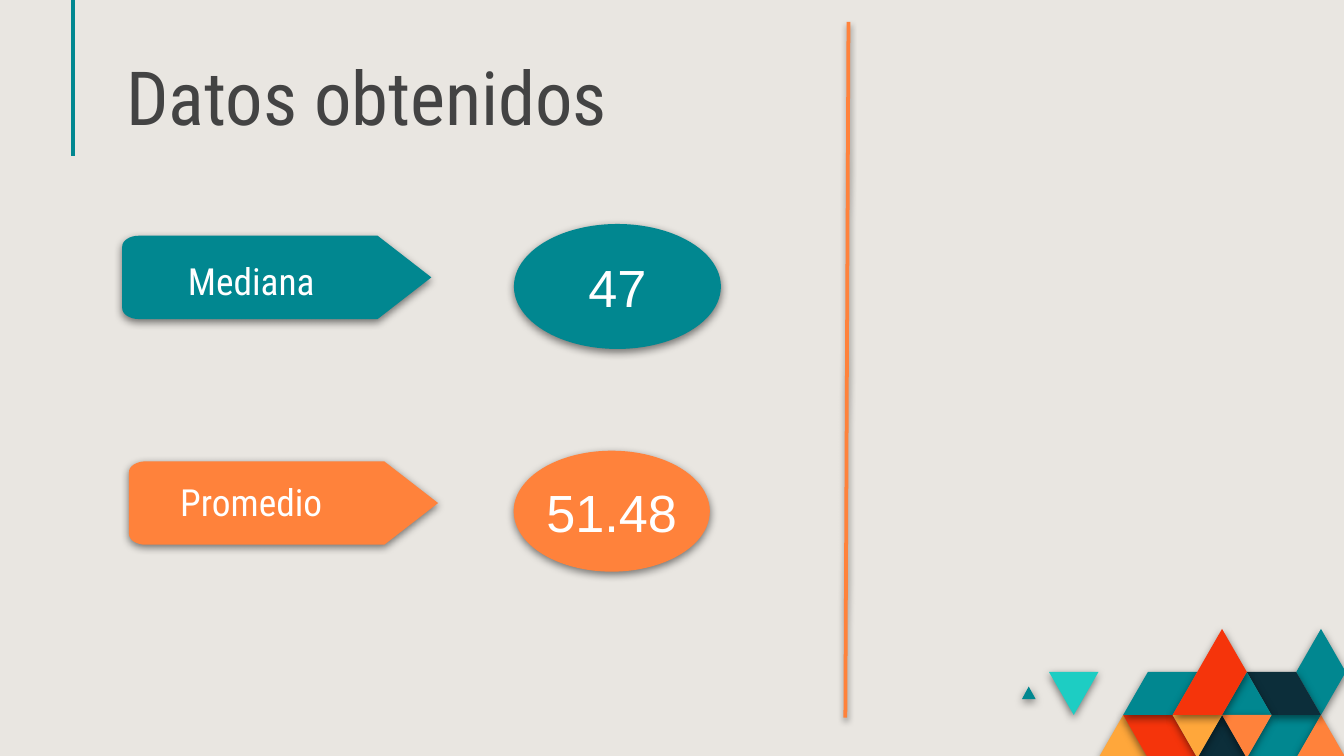
from dataclasses import dataclass
from math import cos, pi, sin

from lxml import etree
from pptx import Presentation
from pptx.dml.color import RGBColor
from pptx.enum.shapes import MSO_CONNECTOR, MSO_SHAPE
from pptx.enum.text import MSO_ANCHOR, PP_ALIGN
from pptx.oxml.ns import qn
from pptx.util import Inches, Pt

STRAIGHT = MSO_CONNECTOR.STRAIGHT
OVAL = MSO_SHAPE.OVAL
TOP, MIDDLE, BOTTOM = MSO_ANCHOR.TOP, MSO_ANCHOR.MIDDLE, MSO_ANCHOR.BOTTOM
LEFT, CENTER = PP_ALIGN.LEFT, PP_ALIGN.CENTER

COLUMNS, ROWS = 100, 56.25
CELL = 0.1
MOSAIC_LEFT, MOSAIC_TOP = 78.05, 50
MOSAIC_STEP, MOSAIC_ROW = 1.84, 3.2

PAPER, WHITE, INK = "E9E6E1", "FFFFFF", "434343"
TEAL, AQUA, NAVY = "018790", "1DCDC3", "0C2E3A"
ORANGE, AMBER, RED = "FF823B", "FFA73B", "F5340B"
HEADING_FONT, NUMBER_FONT = "Roboto Condensed", "Arial"

Point = tuple[float, float]


@dataclass(frozen=True)
class Area:
    left: float
    top: float
    width: float
    height: float


@dataclass(frozen=True)
class Tile:
    color: str
    corners: tuple[Point, ...]


@dataclass(frozen=True)
class Shadow:
    blur: float
    distance: float
    opacity: int


@dataclass(frozen=True)
class Statistic:
    name: str
    value: str
    color: str
    tag: Area
    label: Area
    bubble: Area


SOFT_SHADOW = Shadow(4.5, 1.5, 50)
LINE_SHADOW = Shadow(3.1, 1.6, 38)

TILES = (
    Tile(AMBER, ((2, 2), (3, 1), (4, 2))),
    Tile(RED, ((3, 1), (5, 1), (6, 2), (4, 2))),
    Tile(TEAL, ((8, 2), (9, 1), (11, 1), (10, 2))),
    Tile(ORANGE, ((10, 2), (11, 1), (12, 2))),
    Tile(NAVY, ((6, 2), (7, 1), (8, 2))),
    Tile(TEAL, ((3, 1), (4, 0), (6, 0), (5, 1))),
    Tile(TEAL, ((-1.09, 0.63), (-0.82, 0.34), (-0.54, 0.63))),
    Tile(AQUA, ((0, 0), (2, 0), (1, 1))),
    Tile(TEAL, ((10, 0), (11, -1), (12, 0), (11, 1))),
    Tile(NAVY, ((8, 0), (10, 0), (11, 1), (9, 1))),
    Tile(TEAL, ((7, 1), (8, 0), (9, 1))),
    Tile(ORANGE, ((7, 1), (9, 1), (8, 2))),
    Tile(AMBER, ((5, 1), (7, 1), (6, 2))),
    Tile(RED, ((5, 1), (7, -1), (8, 0), (7, 1))),
)

STATISTICS = (
    Statistic("Promedio", "51.48", ORANGE, Area(9.6, 34.33, 23, 6.2),
              Area(9.1, 34.63, 19.2, 4.3), Area(38.22, 33.54, 14.6, 9)),
    Statistic("Mediana", "47", TEAL, Area(9.1, 17.54, 23, 6.2),
              Area(9.1, 18.2, 19.2, 4.3), Area(38.24, 16.67, 15.4, 9.3)),
)


def cells(count: float) -> int:
    return Inches(count * CELL)


def bounds(area: Area) -> tuple[int, ...]:
    return tuple(cells(size) for size in (area.left, area.top, area.width, area.height))


def rgb(color: str) -> RGBColor:
    return RGBColor.from_string(color)


def set_shadow(item, shadow: Shadow | None = None) -> None:
    effects = etree.SubElement(item._element.spPr, qn("a:effectLst"))
    if shadow is None:
        return
    outer = etree.SubElement(
        effects, qn("a:outerShdw"), blurRad=str(Pt(shadow.blur)),
        dist=str(Pt(shadow.distance)), dir="5400000", algn="bl", rotWithShape="0")
    tint = etree.SubElement(outer, qn("a:srgbClr"), val="000000")
    etree.SubElement(tint, qn("a:alpha"), val=str(shadow.opacity * 1000))


def paint(shape, color: str) -> None:
    shape.fill.solid()
    shape.fill.fore_color.rgb = rgb(color)
    shape.line.fill.background()
    set_shadow(shape, SOFT_SHADOW)


def write(box, text: str, *, size: float, font: str, color: str, align=CENTER,
          anchor=TOP, spacing: float = 1.0, wrap: bool = True) -> None:
    frame = box.text_frame
    frame.word_wrap = wrap
    frame.vertical_anchor = anchor
    frame.margin_left = frame.margin_right = cells(1)
    frame.margin_top = frame.margin_bottom = cells(1)
    para = frame.paragraphs[0]
    para.alignment = align
    para.line_spacing = spacing
    span = para.add_run()
    span.text = text
    span.font.size = Pt(size)
    span.font.name = font
    span.font.color.rgb = rgb(color)


def draw_line(page, start: Point, end: Point, color: str, width: float,
              shadow: Shadow | None = None) -> None:
    line = page.shapes.add_connector(STRAIGHT, *map(cells, start + end))
    line.line.color.rgb = rgb(color)
    line.line.width = Pt(width)
    set_shadow(line, shadow)


def draw_outline(page, points: list[Point], color: str) -> None:
    corners = [(cells(x), cells(y)) for x, y in points]
    builder = page.shapes.build_freeform(*corners[0])
    builder.add_line_segments(corners[1:], close=True)
    paint(builder.convert_to_shape(), color)


def draw_tile(page, tile: Tile) -> None:
    points = [(MOSAIC_LEFT + x * MOSAIC_STEP, MOSAIC_TOP + y * MOSAIC_ROW)
              for x, y in tile.corners]
    draw_outline(page, points, tile.color)


def tag_points(area: Area) -> list[Point]:
    radius_x, radius_y, tip, steps = 1.25, 0.8, 4, 8
    right, bottom = area.left + area.width, area.top + area.height
    angles = [pi / 2 * step / steps for step in range(steps + 1)]
    upper = [(area.left + radius_x * (1 - sin(angle)),
              area.top + radius_y * (1 - cos(angle))) for angle in angles]
    lower = [(x, area.top + bottom - y) for x, y in reversed(upper)]
    arrow = [(right - tip, bottom), (right, (area.top + bottom) / 2), (right - tip, area.top)]
    return upper[::-1][::-1] + lower + arrow


def draw_statistic(page, statistic: Statistic) -> None:
    draw_outline(page, tag_points(statistic.tag), statistic.color)
    bubble = page.shapes.add_shape(OVAL, *bounds(statistic.bubble))
    paint(bubble, statistic.color)
    write(bubble, statistic.value, size=28, font=NUMBER_FONT, color=WHITE,
          anchor=MIDDLE, wrap=False)
    label = page.shapes.add_textbox(*bounds(statistic.label))
    write(label, statistic.name, size=20, font=HEADING_FONT, color=WHITE)


def main() -> None:
    deck = Presentation()
    deck.slide_width, deck.slide_height = cells(COLUMNS), cells(ROWS)
    page = deck.slides.add_slide(deck.slide_layouts[6])
    page.background.fill.solid()
    page.background.fill.fore_color.rgb = rgb(PAPER)

    draw_line(page, (5.43, -0.7), (5.43, 11.6), TEAL, 2.25)
    for tile in TILES:
        draw_tile(page, tile)
    for statistic in STATISTICS:
        draw_statistic(page, statistic)
    title = page.shapes.add_textbox(*bounds(Area(8.4, 5.1, 41.6, 6.3)))
    write(title, "Datos obtenidos", size=40, font=HEADING_FONT, color=INK,
          align=LEFT, anchor=BOTTOM, spacing=0.8)
    draw_line(page, (63.13, 1.63), (62.9, 53.4), ORANGE, 2, LINE_SHADOW)

    deck.save("out.pptx")


if __name__ == "__main__":
    main()
